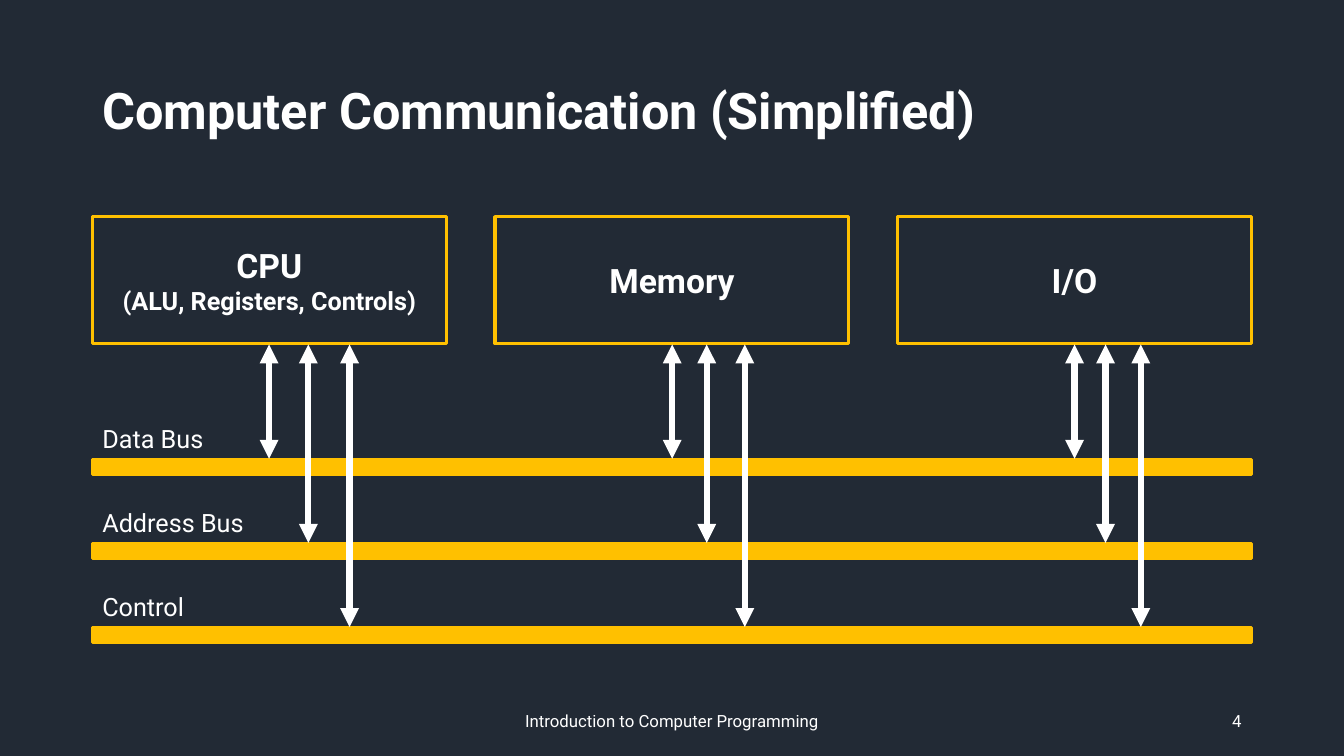
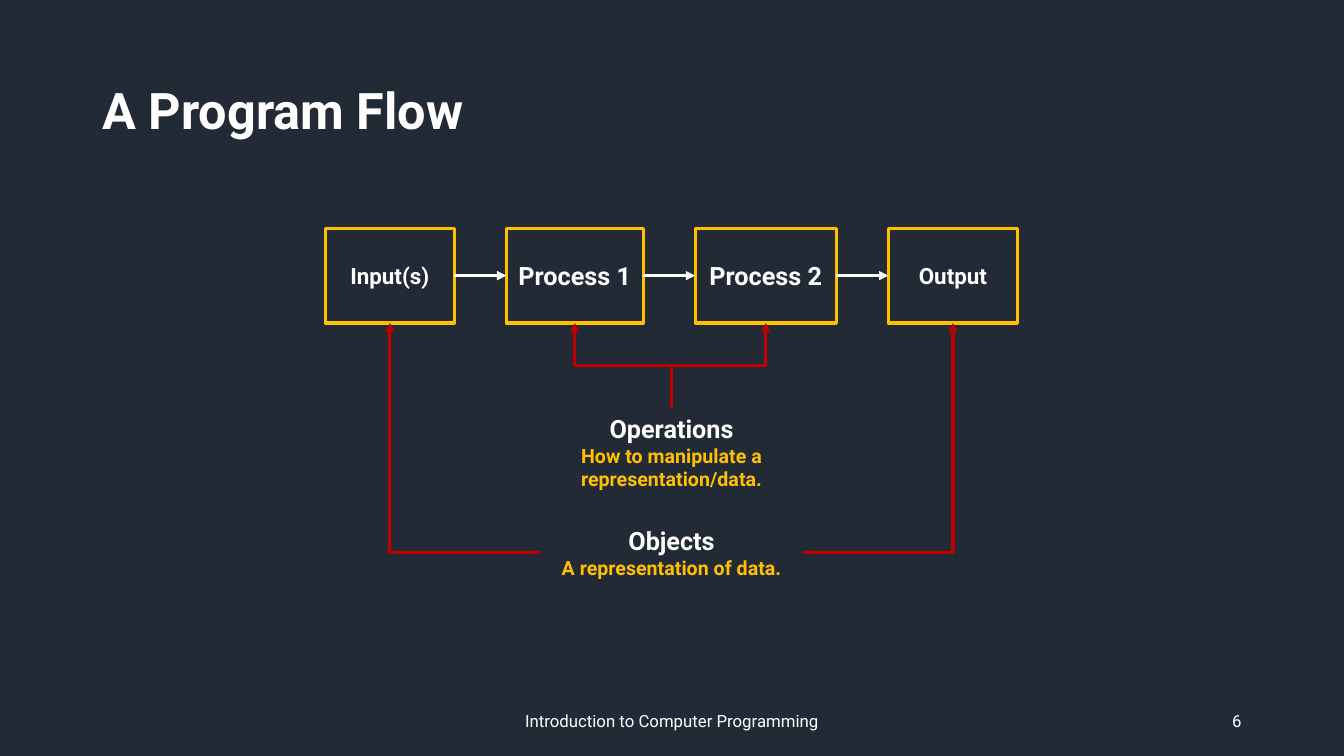
import dataclasses
import itertools

import lxml.etree
import pptx
import pptx.dml.color
import pptx.enum.shapes
import pptx.enum.text
import pptx.oxml.ns
import pptx.util

Cm = pptx.util.Cm
ALIGN = pptx.enum.text.PP_ALIGN
ANCHOR = pptx.enum.text.MSO_ANCHOR
CONNECTOR = pptx.enum.shapes.MSO_CONNECTOR


@dataclasses.dataclass(frozen=True)
class Theme:
    """Colours, font, type sizes and line widths of the deck."""
    background: str = "222A35"
    text: str = "FFFFFF"
    accent: str = "FFC000"
    link: str = "C00000"
    font: str = "Roboto"
    title: int = 36
    heading: int = 24
    label: int = 18
    small_label: int = 16
    note: int = 14
    footer: int = 12
    outline: float = 2.25
    bus_arrow: float = 4.5


THEME = Theme()
MARGIN = 2.33
CONTENT_WIDTH = 29.21
FOOTER_TOP = 17.65
FOOTER_HEIGHT = 1.02


def rgb(colour):
    """Return the colour object of a hex string."""
    return pptx.dml.color.RGBColor.from_string(colour)


def add_text(frame, text, first=False, size=THEME.label, colour=THEME.text,
             bold=False, align=ALIGN.LEFT, spacing=None):
    """Write one formatted paragraph, reusing the frame's first one if asked."""
    paragraph = frame.paragraphs[0] if first else frame.add_paragraph()
    paragraph.alignment = align
    if spacing:
        paragraph.line_spacing = spacing
    run = paragraph.add_run()
    run.text = text
    run.font.name = THEME.font
    run.font.size = pptx.util.Pt(size)
    run.font.bold = bold
    run.font.color.rgb = rgb(colour)


class Deck:
    """Holds the presentation, its style and the current slide."""

    def __init__(self, theme):
        """Start a wide presentation with the theme's background."""
        self.theme = theme
        self.presentation = pptx.Presentation()
        self.presentation.slide_width = Cm(33.87)
        self.presentation.slide_height = Cm(19.05)
        fill = self.presentation.slide_master.background.fill
        fill.solid()
        fill.fore_color.rgb = rgb(theme.background)
        self.slide = None

    def new_slide(self, title, number):
        """Add a slide with its title, footer and number."""
        theme = self.theme
        self.slide = self.presentation.slides.add_slide(
            self.presentation.slide_layouts[6])
        self.text_box(MARGIN, 1.01, CONTENT_WIDTH, 3.68, [(title, {
            "size": theme.title, "bold": True, "spacing": 0.9})], ANCHOR.MIDDLE)
        self.text_box(11.22, FOOTER_TOP, 11.43, FOOTER_HEIGHT, [
            ("Introduction to Computer Programming",
             {"size": theme.footer, "align": ALIGN.CENTER})], ANCHOR.MIDDLE)
        self.text_box(23.92, FOOTER_TOP, 7.62, FOOTER_HEIGHT, [
            (str(number), {"size": theme.footer, "align": ALIGN.RIGHT})],
            ANCHOR.MIDDLE)

    def fill_text(self, shape, paragraphs, anchor):
        """Put (text, format) paragraphs into a shape."""
        frame = shape.text_frame
        frame.word_wrap = True
        frame.vertical_anchor = anchor
        for index, (text, style) in enumerate(paragraphs):
            add_text(frame, text, first=index == 0, **style)

    def text_box(self, left, top, width, height, paragraphs, anchor=ANCHOR.TOP):
        """Add a wrapping text box."""
        shape = self.slide.shapes.add_textbox(
            Cm(left), Cm(top), Cm(width), Cm(height))
        self.fill_text(shape, paragraphs, anchor)

    def box(self, left, top, width, height, paragraphs=(), filled=False):
        """Add an accent rectangle, outlined or filled, with centred text."""
        shape = self.slide.shapes.add_shape(
            pptx.enum.shapes.MSO_SHAPE.RECTANGLE,
            Cm(left), Cm(top), Cm(width), Cm(height))
        shape.shadow.inherit = False
        if filled:
            shape.fill.solid()
            shape.fill.fore_color.rgb = rgb(self.theme.accent)
        else:
            shape.fill.background()
        shape.line.color.rgb = rgb(self.theme.accent)
        shape.line.width = pptx.util.Pt(self.theme.outline)
        self.fill_text(shape, [(text, {"bold": True, "align": ALIGN.CENTER, **style})
                               for text, style in paragraphs], ANCHOR.MIDDLE)

    def arrow(self, start, end, colour=THEME.text, width=THEME.outline,
              both_ends=False, kind=CONNECTOR.STRAIGHT):
        """Add a connector with a triangle at its end, or at both ends."""
        connector = self.slide.shapes.add_connector(
            kind, Cm(start[0]), Cm(start[1]), Cm(end[0]), Cm(end[1]))
        connector.line.color.rgb = rgb(colour)
        connector.line.width = pptx.util.Pt(width)
        qualify = pptx.oxml.ns.qn
        properties = connector._element.spPr
        line = properties.find(qualify("a:ln"))
        for tag in ["a:headEnd", "a:tailEnd"] if both_ends else ["a:tailEnd"]:
            lxml.etree.SubElement(line, qualify(tag), type="triangle")
        lxml.etree.SubElement(properties, qualify("a:effectLst"))
        return properties

    def corner_arrow(self, start, end):
        """Add a link that runs sideways, then turns once towards its end."""
        properties = self.arrow(start, end, self.theme.link, kind=CONNECTOR.ELBOW)
        properties.find(pptx.oxml.ns.qn("a:prstGeom")).set("prst", "bentConnector2")

    def rising_arrow(self, start, end):
        """Add a link that rises, steps sideways halfway and rises again."""
        middle_x, middle_y = (start[0] + end[0]) / 2, (start[1] + end[1]) / 2
        half_run, half_rise = (end[0] - start[0]) / 2, (start[1] - end[1]) / 2
        properties = self.arrow(
            (middle_x - half_rise, middle_y - half_run),
            (middle_x + half_rise, middle_y + half_run),
            self.theme.link, kind=CONNECTOR.ELBOW)
        properties.find(pptx.oxml.ns.qn("a:xfrm")).set("rot", str(270 * 60000))


def communication_slide(deck):
    """Three units joined to three buses by two-way arrows."""
    deck.new_slide("Computer Communication (Simplified)", 4)
    heading = {"size": THEME.heading}
    unit_top, unit_width, unit_height = 5.46, 8.92, 3.2
    unit_step = (CONTENT_WIDTH - unit_width) / 2
    units = [
        [("CPU", heading), ("(ALU, Registers, Controls)", {})],
        [("Memory", heading)],
        [("I/O", heading)],
    ]
    for index, paragraphs in enumerate(units):
        deck.box(MARGIN + index * unit_step, unit_top, unit_width, unit_height,
                 paragraphs)

    buses = {
        "Data Bus": (6.78, 16.94, 27.08),
        "Address Bus": (7.77, 17.81, 27.86),
        "Control": (8.81, 18.77, 28.75),
    }
    for index, (name, arrow_positions) in enumerate(buses.items()):
        bus_top = 11.58 + index * 2.12
        deck.box(MARGIN, bus_top, CONTENT_WIDTH, 0.38, filled=True)
        deck.text_box(MARGIN, bus_top - 1.05, 5.44, 1.02, [(name, {})])
        for x in arrow_positions:
            deck.arrow((x, bus_top - 0.02), (x, unit_top + unit_height + 0.02),
                       width=THEME.bus_arrow, both_ends=True)


def program_flow_slide(deck):
    """A chain of four steps with the ideas behind them."""
    deck.new_slide("A Program Flow", 6)
    step_top, step_height, gap = 5.75, 2.39, 1.31
    step_bottom, step_middle = step_top + step_height, step_top + step_height / 2
    steps = [
        ("Input(s)", 3.25, THEME.small_label),
        ("Process 1", 3.45, THEME.label),
        ("Process 2", 3.56, THEME.label),
        ("Output", 3.25, THEME.small_label),
    ]
    left, spans = 8.2, []
    for name, width, size in steps:
        deck.box(left, step_top, width, step_height, [(name, {"size": size})])
        spans.append((left, left + width))
        left += width + gap
    for before, after in itertools.pairwise(spans):
        deck.arrow((before[1], step_middle), (after[0], step_middle))
    inputs, first, second, output = [
        ((start + end) / 2, step_bottom) for start, end in spans]

    idea_left, idea_width = 13.61, 6.63
    idea_right = idea_left + idea_width
    operations_top, objects_middle = 10.29, 13.92
    ideas = [
        ("Objects", "A representation of data.", 13.11, 1.63),
        ("Operations", "How to manipulate a representation/data.",
         operations_top, 2.24),
    ]
    for name, note, top, height in ideas:
        deck.text_box(idea_left, top, idea_width, height, [
            (name, {"bold": True, "align": ALIGN.CENTER}),
            (note, {"size": THEME.note, "colour": THEME.accent, "bold": True,
                    "align": ALIGN.CENTER})])
    deck.corner_arrow((idea_left, objects_middle), inputs)
    deck.corner_arrow((idea_right, objects_middle), output)
    for process in (first, second):
        deck.rising_arrow(((idea_left + idea_right) / 2, operations_top), process)


def main():
    """Build and save the presentation."""
    deck = Deck(THEME)
    communication_slide(deck)
    program_flow_slide(deck)
    deck.presentation.save("out.pptx")


main()
